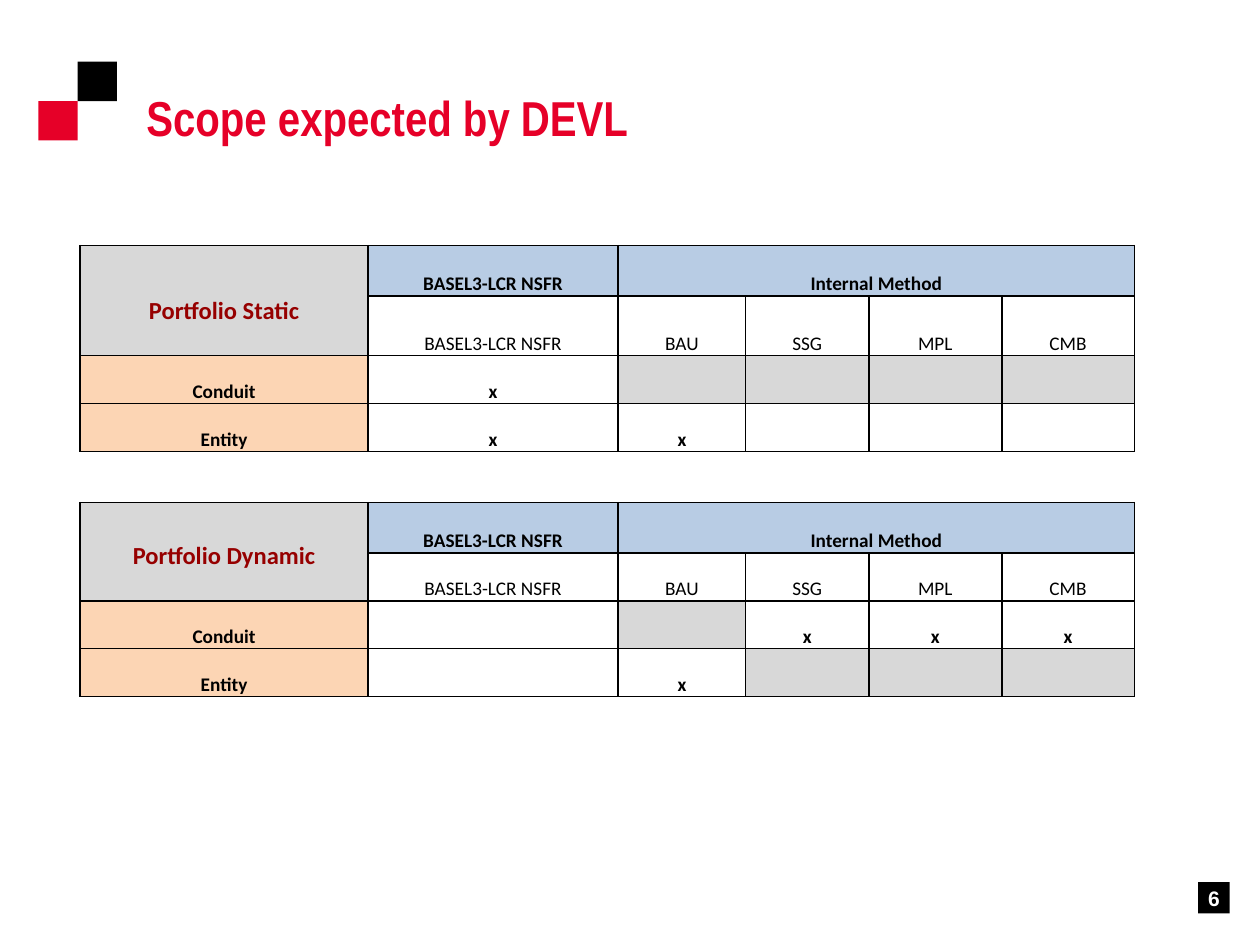
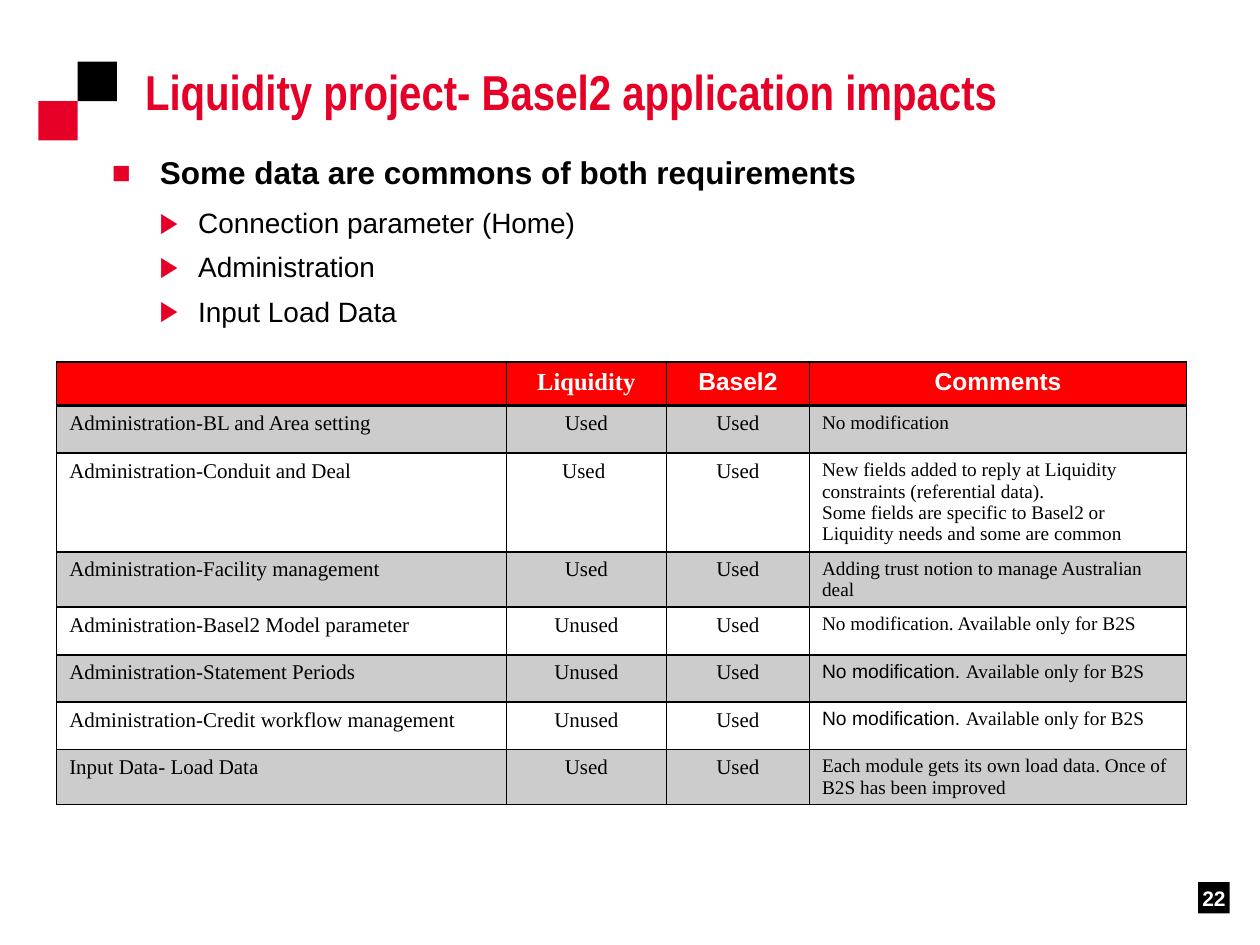
"""Build two slides on the scope and the application impacts of a liquidity project."""
from dataclasses import dataclass, replace

from lxml.etree import SubElement
from pptx import Presentation
from pptx.dml.color import RGBColor
from pptx.enum.shapes import MSO_SHAPE as Shape
from pptx.enum.text import MSO_ANCHOR as Anchor, PP_ALIGN as Align
from pptx.oxml import parse_xml
from pptx.oxml.ns import nsdecls, qn
from pptx.util import Pt


@dataclass(frozen=True)
class Theme:
    red: str = "E60028"
    black: str = "000000"
    white: str = "FFFFFF"
    maroon: str = "960000"
    grey: str = "D8D8D8"
    blue: str = "B8CCE4"
    peach: str = "FCD5B4"
    header: str = "FF0000"
    band: str = "CCCCCC"
    sans: str = "Arial"
    narrow: str = "Arial Narrow"
    grid: str = "Calibri"
    serif: str = "Times New Roman"
    title_size: float = 28
    topic_size: float = 18
    item_size: float = 16
    head_size: float = 14
    body_size: float = 12
    small_size: float = 11


@dataclass(frozen=True)
class Span:
    text: str
    font: str
    size: float
    color: str = "000000"
    bold: bool = False


@dataclass(frozen=True)
class Cell:
    paras: tuple = ()
    fill: str = ""
    align: Align = Align.CENTER
    anchor: Anchor = Anchor.TOP
    margins: tuple = (7.2, 3.6, 7.2, 3.6)
    borders: tuple = (("L", 1), ("R", 1), ("T", 1), ("B", 1))


class Deck:
    def __init__(self, theme):
        self.theme = theme
        self.deck = Presentation()
        self.deck.slide_width, self.deck.slide_height = Pt(720), Pt(540)
        self.page = None

    def add_page(self, title, number, title_left, title_top):
        theme = self.theme
        self.page = self.deck.slides.add_slide(self.deck.slide_layouts[6])
        side, left, top = 22.5, 44.4, 35.3
        self.square(left, top, side, theme.black)
        self.square(left - side, top + side, side, theme.red)
        frame = self.text_box(title_left, title_top, 572.4, 62)
        para = frame.paragraphs[0]
        para.line_spacing = 0.9
        self.add_span(para, Span(title, theme.narrow, theme.title_size, theme.red, True))
        badge = self.square(684.7, 504, 18, theme.black).text_frame
        badge.margin_left = badge.margin_right = badge.margin_top = badge.margin_bottom = 0
        badge.vertical_anchor = Anchor.MIDDLE
        badge.word_wrap = False
        badge.paragraphs[0].alignment = Align.CENTER
        self.add_span(badge.paragraphs[0],
                      Span(number, theme.sans, theme.body_size, theme.white, True))

    def square(self, left, top, side, color):
        box = self.page.shapes.add_shape(Shape.RECTANGLE, Pt(left), Pt(top), Pt(side), Pt(side))
        box.shadow.inherit = False
        box.fill.solid()
        box.fill.fore_color.rgb = RGBColor.from_string(color)
        box.line.fill.background()
        return box

    def text_box(self, left, top, width, height):
        box = self.page.shapes.add_textbox(Pt(left), Pt(top), Pt(width), Pt(height))
        box.text_frame.word_wrap = True
        return box.text_frame

    def add_span(self, para, span):
        run = para.add_run()
        run.text = span.text
        run.font.name, run.font.size, run.font.bold = span.font, Pt(span.size), span.bold
        run.font.color.rgb = RGBColor.from_string(span.color)

    def add_bullet(self, para, mark, indent, hanging):
        props = para._p.get_or_add_pPr()
        props.set("marL", str(Pt(indent)))
        props.set("indent", str(-Pt(hanging)))
        color = SubElement(props, qn("a:buClr"))
        SubElement(color, qn("a:srgbClr")).set("val", self.theme.red)
        SubElement(props, qn("a:buFont")).set("typeface", self.theme.sans)
        SubElement(props, qn("a:buChar")).set("char", mark)

    def bullets(self, left, top, width, height, topic, items):
        theme = self.theme
        frame = self.text_box(left, top, width, height)
        para = frame.paragraphs[0]
        para.space_after = Pt(5.4)
        self.add_bullet(para, "■", 27.4, 27.4)
        self.add_span(para, Span(topic, theme.sans, theme.topic_size, bold=True))
        for item in items:
            para = frame.add_paragraph()
            para.line_spacing, para.space_after = 1.15, Pt(3.2)
            self.add_bullet(para, "▶", 49.3, 22)
            self.add_span(para, Span(item, theme.sans, theme.item_size))

    def table(self, left, top, widths, heights, rows, merges=()):
        frame = self.page.shapes.add_table(len(rows), len(widths), Pt(left), Pt(top),
                                           Pt(sum(widths)), Pt(sum(heights)))
        table = frame.table
        table.first_row = table.horz_banding = False
        for column, width in zip(table.columns, widths):
            column.width = Pt(width)
        for row, height in zip(table.rows, heights):
            row.height = Pt(height)
        for r, row in enumerate(rows):
            for c, cell in enumerate(row):
                self.fill_cell(table.cell(r, c), cell)
        for first, last in merges:
            table.cell(*first).merge(table.cell(*last))

    def fill_cell(self, target, cell):
        target.margin_left, target.margin_top, target.margin_right, target.margin_bottom = map(
            Pt, cell.margins)
        target.vertical_anchor = cell.anchor
        if cell.fill:
            target.fill.solid()
            target.fill.fore_color.rgb = RGBColor.from_string(cell.fill)
        else:
            target.fill.background()
        props = target._tc.get_or_add_tcPr()
        color = f'<a:solidFill><a:srgbClr val="{self.theme.black}"/></a:solidFill>'
        for index, (side, width) in enumerate(cell.borders):
            props.insert(index, parse_xml(
                f'<a:ln{side} {nsdecls("a")} w="{Pt(width)}">'
                f'{color if width else "<a:noFill/>"}</a:ln{side}>'))
        for index, spans in enumerate(cell.paras):
            frame = target.text_frame
            para = frame.add_paragraph() if index else frame.paragraphs[0]
            para.alignment = cell.align
            for span in spans:
                self.add_span(para, span)


def portfolio_rows(theme, name, marks):
    def cell(text="", fill="", bold=True):
        paras = ((Span(text, theme.grid, theme.small_size, bold=bold),),) if text else ()
        return Cell(paras, fill, anchor=Anchor.BOTTOM, margins=(3.6, 0, 3.6, 0))

    label = Span(name, theme.grid, theme.head_size, theme.maroon, True)
    corner = replace(cell(fill=theme.grey), paras=((label,),), margins=(3.6, 0, 3.6, 17.2))
    basel = "BASEL3-LCR NSFR"
    methods = [cell(text, bold=False) for text in (basel, "BAU", "", "SSG", "MPL", "CMB")]
    rows = [
        [corner, cell(basel, theme.blue), cell("Internal Method", theme.blue)]
        + [cell(fill=theme.blue)] * 4,
        [cell(fill=theme.grey)] + methods,
    ]
    for entry, (lcr, bau, *others) in marks.items():
        values = [lcr, bau, "" if bau else bau, *others]
        rows.append([cell(entry, theme.peach)] + [
            cell(fill=theme.grey) if value is None else cell(value) for value in values])
    return rows


def scope_page(deck):
    theme = deck.theme
    deck.add_page("Scope expected by DEVL", "6", 76.5, 50.4)
    static = portfolio_rows(theme, "Portfolio Static", {
        "Conduit": ("x", None, None, None, None),
        "Entity": ("x", "x", "", "", "")})
    dynamic = portfolio_rows(theme, "Portfolio Dynamic", {
        "Conduit": ("", None, "x", "x", "x"),
        "Entity": ("", "x", None, None, None)})
    widths = [164.5, 143, 62, 10.8, 70.4, 76, 75.8]
    open_cell = Cell(margins=(3.6, 0, 3.6, 0),
                     borders=(("L", 0), ("R", 0), ("T", 1), ("B", 1)))
    end_cell = replace(open_cell, borders=(("L", 0), ("R", 0), ("T", 1), ("B", 0)))
    gap, end = ([cell] * len(widths) for cell in (open_cell, end_cell))
    merges = []
    for top in (0, len(static) + 1):
        merges += [((top, 0), (top + 1, 0)), ((top, 2), (top, 6))]
        merges += [((row, 2), (row, 3)) for row in range(top + 1, top + 4)]
    heights = [28.7, 34.2, 27.4, 27.4, 29.2, 28.7, 27.4, 27.4, 27.4, 22.3]
    deck.table(45.8, 140.4, widths, heights, static + [gap] + dynamic + [end], merges)


def impacts_page(deck):
    theme = deck.theme
    deck.add_page("Liquidity project- Basel2 application impacts", "22", 75.8, 35.3)
    deck.bullets(56.9, 84.2, 581, 341.3, "Some data are commons of both requirements",
                 ("Connection parameter (Home)", "Administration", "Input Load Data"))

    def small(text, font=theme.serif):
        return Span(text, font, theme.small_size)

    b2s = "Available only for B2S"
    mixed = ((small("No modification. ", theme.sans), small(b2s)),)
    impacts = [
        ("Administration-BL and Area setting", "Used", ((small("No modification"),),)),
        ("Administration-Conduit and Deal", "Used ", (
            (small("New fields added to reply at Liquidity constraints (referential data)."),),
            (small("Some fields are specific to Basel2 or Liquidity needs and some are common"),))),
        ("Administration-Facility management", "Used",
         ((small("Adding trust notion to manage Australian deal"),),)),
        ("Administration-Basel2 Model parameter", "Unused",
         ((small(f"No modification. {b2s}"),),)),
        ("Administration-Statement Periods", "Unused", mixed),
        ("Administration-Credit workflow management", "Unused", mixed),
        ("Input Data- Load Data", "Used",
         ((small("Each module gets its own load data. Once of B2S has been improved"),),)),
    ]
    head = Cell(fill=theme.header, borders=(("L", 1), ("R", 1), ("T", 1), ("B", 2)))
    heads = (("Liquidity", theme.serif), ("Basel2", theme.sans), ("Comments", theme.sans))
    rows = [[replace(head, margins=(7.2, 0, 7.2, 0))] + [
        replace(head, paras=((Span(text, font, theme.head_size, theme.white, True),),))
        for text, font in heads]]
    for index, (module, liquidity, comments) in enumerate(impacts):
        fill = "" if index % 2 else theme.band
        name, used, basel = (((Span(text, theme.serif, theme.body_size),),)
                             for text in (module, liquidity, "Used"))
        rows.append([Cell(name, fill, Align.LEFT), Cell(used, fill), Cell(basel, fill),
                     Cell(comments, fill, Align.LEFT, margins=(7.2, 3.6, 7.2, 0))])
    heights = [25, 27.2, 56, 31.6, 27.2, 27, 27, 31.6]
    deck.table(32.4, 206.8, [257, 91.4, 81.8, 215.5], heights, rows)


def main():
    deck = Deck(Theme())
    scope_page(deck)
    impacts_page(deck)
    deck.deck.save("out.pptx")


if __name__ == "__main__":
    main()
